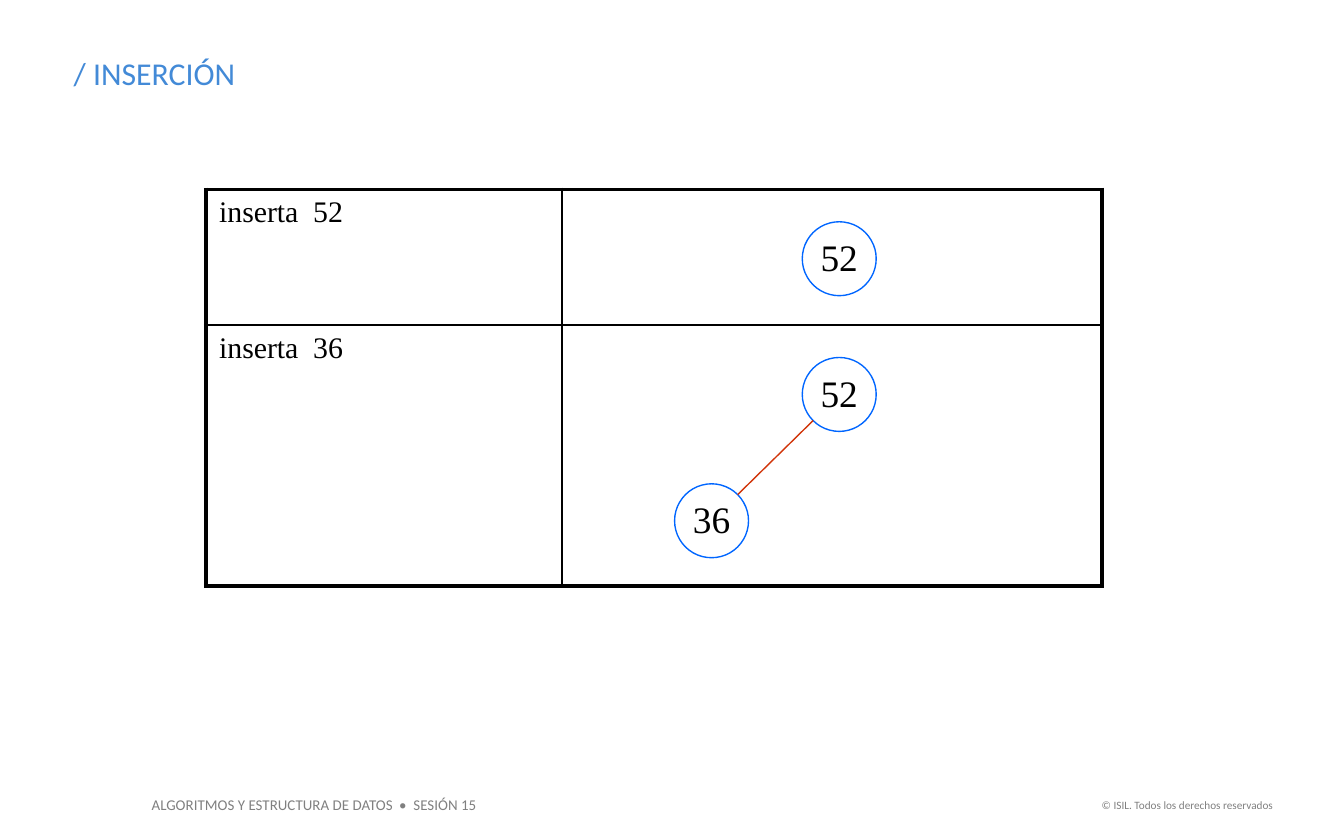
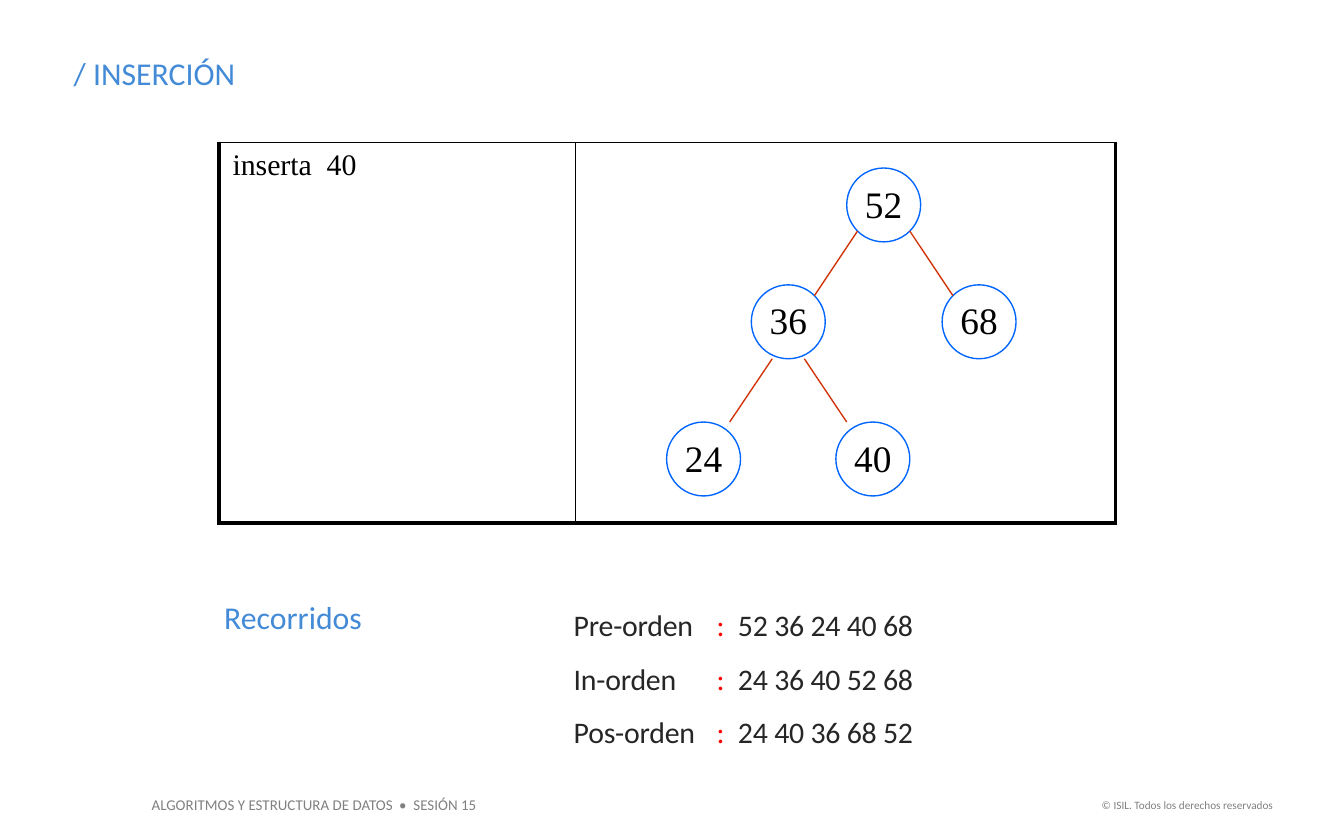
from lxml import etree
from pptx import Presentation
from pptx.dml.color import RGBColor
from pptx.enum.shapes import MSO_CONNECTOR, MSO_SHAPE
from pptx.enum.text import MSO_ANCHOR, PP_ALIGN
from pptx.oxml.ns import qn
from pptx.util import Pt

LEFT, CENTER, RIGHT = PP_ALIGN.LEFT, PP_ALIGN.CENTER, PP_ALIGN.RIGHT
MIDDLE = MSO_ANCHOR.MIDDLE
CIRCLE = MSO_SHAPE.FLOWCHART_CONNECTOR
STRAIGHT = MSO_CONNECTOR.STRAIGHT

SANS, SERIF = "Calibri", "Times New Roman"
BLACK, GRAY, DARK = "000000", "808080", "262626"
TITLE_BLUE, NODE_BLUE = "438AD7", "0066FF"
RED, EDGE_RED = "FF0000", "D13409"

NODE_SIZE = 39.6
COLUMNS = (190.8, 289.4)
THICK, THIN = 2.25, 1
# Edge ends as (horizontal, vertical) distances from the node centres
DIAGONAL = ((14, 14), (14, 14))
STEEP = ((8.6, 19.8), (14, 19.8))


def rgb(color):
    return RGBColor.from_string(color)


def set_font(font, name, size, color):
    font.name = name
    font.size = Pt(size)
    font.color.rgb = rgb(color)


def set_tabs(p, stops):
    if stops:
        tab_list = etree.SubElement(p._p.get_or_add_pPr(), qn("a:tabLst"))
        for stop in stops:
            etree.SubElement(tab_list, qn("a:tab"), pos=str(Pt(stop)), algn="l")


def set_borders(cell, widths):
    """Draw black borders; widths are left, right, top, bottom."""
    tcPr = cell._tc.get_or_add_tcPr()
    for side, width in zip("LRTB", widths):
        ln = etree.SubElement(tcPr, qn(f"a:ln{side}"), w=str(Pt(width)))
        fill = etree.SubElement(ln, qn("a:solidFill"))
        etree.SubElement(fill, qn("a:srgbClr"), val=BLACK)


class Deck:
    def __init__(self):
        self.prs = Presentation()
        self.prs.slide_width = Pt(720)
        self.prs.slide_height = Pt(450)
        self.s = None

    def slide(self, title):
        """Start a slide with its title and both footers."""
        self.s = self.prs.slides.add_slide(self.prs.slide_layouts[6])
        self.text((74.2, 422.6, 189.4, 17.3),
                  "ALGORITMOS Y ESTRUCTURA DE DATOS\t•\tSESIÓN 15",
                  8, GRAY, tabs=(132.5, 140.2))
        self.text((581, 424.1, 108, 14.4), "© ISIL. Todos los derechos reservados",
                  6, GRAY, align=RIGHT, wrap=False)
        self.text((32.4, 25.2, 567.4, 28.1), title, 17, TITLE_BLUE)

    def box(self, at):
        return self.s.shapes.add_textbox(*map(Pt, at)).text_frame

    def text(self, at, text, size, color, align=LEFT, wrap=True, tabs=()):
        tf = self.box(at)
        tf.word_wrap = wrap
        p = tf.paragraphs[0]
        p.text = text
        p.alignment = align
        set_tabs(p, tabs)
        set_font(p.font, SANS, size, color)

    def traversals(self, at, rows):
        """List each traversal name and its keys around a red colon."""
        tf = self.box(at)
        tf.word_wrap = True
        tf.margin_left = tf.margin_right = tf.margin_top = tf.margin_bottom = 0
        for i, (name, keys) in enumerate(rows):
            p = tf.add_paragraph() if i else tf.paragraphs[0]
            p.line_spacing = 1.5
            set_tabs(p, (76.5, 88))
            for text, color in ((f"{name}\t", DARK), (":", RED), (f"\t{keys}", DARK)):
                r = p.add_run()
                r.text = text
                set_font(r.font, SANS, 16, color)
                r._r.get_or_add_rPr().set("spc", "-10")

    def steps(self, left, top, rows, top_border=THICK):
        """Table of insertions; rows hold (key, height), the right column is free."""
        height = sum(h for _, h in rows)
        table = self.s.shapes.add_table(
            len(rows), 2, Pt(left), Pt(top), Pt(sum(COLUMNS)), Pt(height)).table
        table.first_row = table.horz_banding = False
        for column, width in zip(table.columns, COLUMNS):
            column.width = Pt(width)
        last = len(rows) - 1
        for i, (key, row_height) in enumerate(rows):
            table.rows[i].height = Pt(row_height)
            upper = THIN if i else top_border
            lower = THICK if i == last else THIN
            for j, sides in enumerate(((THICK, THIN), (THIN, THICK))):
                cell = table.cell(i, j)
                set_borders(cell, (*sides, upper, lower))
                cell.fill.background()
            p = table.cell(i, 0).text_frame.paragraphs[0]
            p.text = f"inserta\t{key}"
            set_tabs(p, (50.4,))
            set_font(p.font, SERIF, 16, BLACK)

    def node(self, key, center):
        x, y = (c - NODE_SIZE / 2 for c in center)
        sp = self.s.shapes.add_shape(CIRCLE, Pt(x), Pt(y), Pt(NODE_SIZE), Pt(NODE_SIZE))
        sp.shadow.inherit = False
        sp.fill.background()
        sp.line.color.rgb = rgb(NODE_BLUE)
        sp.line.width = Pt(0.75)
        tf = sp.text_frame
        tf.word_wrap = False
        tf.vertical_anchor = MIDDLE
        tf.margin_left = tf.margin_right = tf.margin_top = 0
        tf.margin_bottom = Pt(2)
        p = tf.paragraphs[0]
        p.text = str(key)
        p.alignment = CENTER
        set_font(p.font, SERIF, 20, BLACK)

    def edge(self, parent, child, ends):
        (dx1, dy1), (dx2, dy2) = ends
        side = 1 if child[0] > parent[0] else -1
        line = self.s.shapes.add_connector(
            STRAIGHT,
            Pt(parent[0] + side * dx1), Pt(parent[1] + dy1),
            Pt(child[0] - side * dx2), Pt(child[1] - dy2))
        line.line.color.rgb = rgb(EDGE_RED)
        line.line.width = Pt(0.75)
        etree.SubElement(line._element.spPr, qn("a:effectLst"))

    def tree(self, centers, edges=()):
        """Draw nodes from {key: center} and edges from (parent, child, ends)."""
        for key, center in centers.items():
            self.node(key, center)
        for parent, child, ends in edges:
            self.edge(centers[parent], centers[child], ends)


def main():
    deck = Deck()

    deck.slide("/ INSERCIÓN")
    deck.steps(110.2, 101.5, [(52, 72.7), (36, 139.7)])
    deck.tree({52: (449.6, 138.6)})
    deck.tree({52: (449.6, 211.3), 36: (381.2, 279)}, [(52, 36, DIAGONAL)])

    deck.slide("/ INSERCIÓN")
    deck.steps(117.4, 76.3, [(40, 203.8)], top_border=THIN)
    deck.tree(
        {52: (473.4, 109.8), 36: (422.3, 172.4), 68: (524.5, 172.4),
         24: (376.9, 245.9), 40: (467.6, 245.9)},
        [(52, 36, DIAGONAL), (52, 68, DIAGONAL), (36, 24, STEEP), (36, 40, STEEP)])
    deck.traversals((307.4, 315.4, 218.2, 87.1), [
        ("Pre-orden", "52 36 24 40 68"),
        ("In-orden", "24 36 40 52 68"),
        ("Pos-orden", "24 40 36 68 52"),
    ])
    deck.text((113, 316.8, 99.4, 28.1), "Recorridos", 17, TITLE_BLUE)

    deck.prs.save("out.pptx")


if __name__ == "__main__":
    main()
